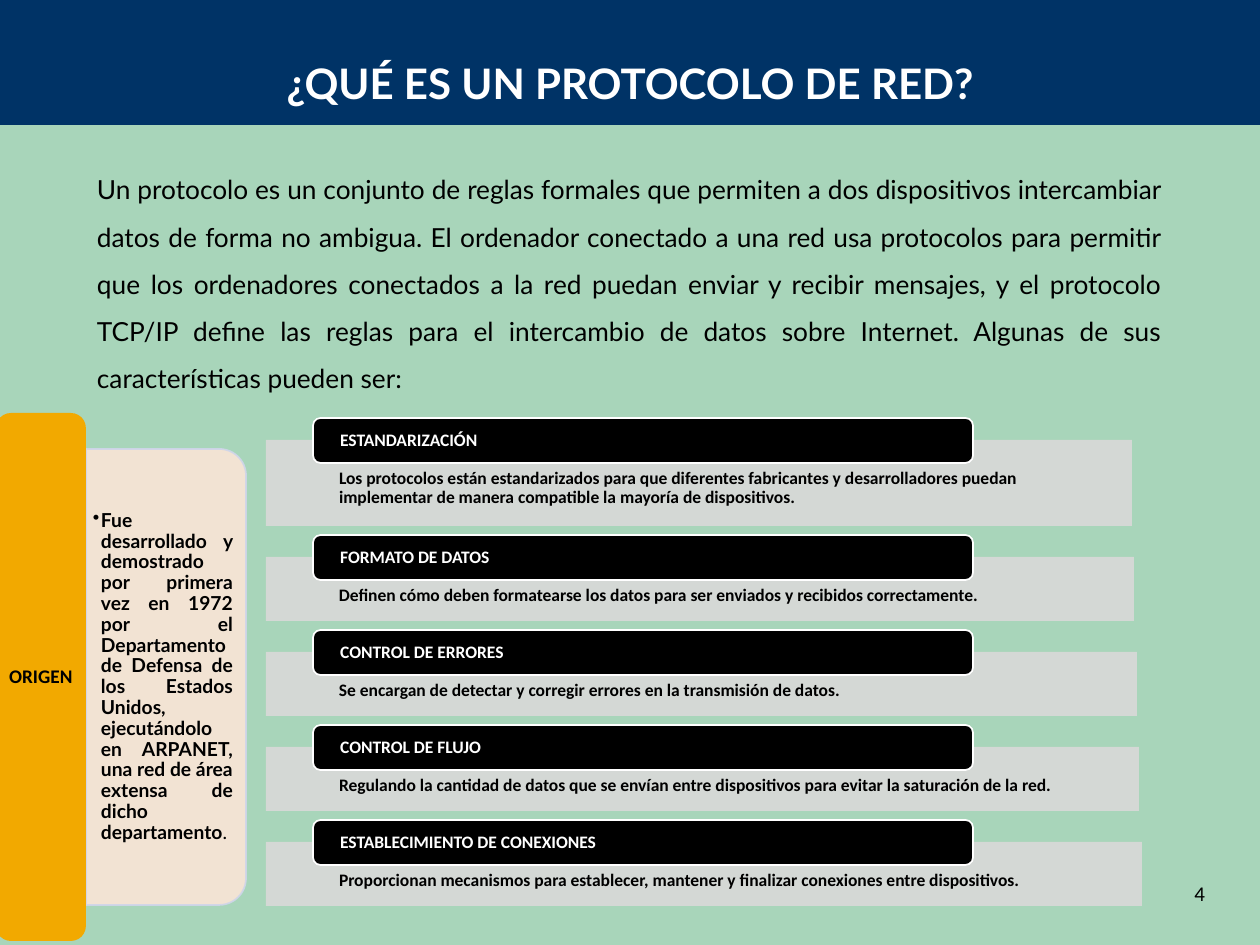
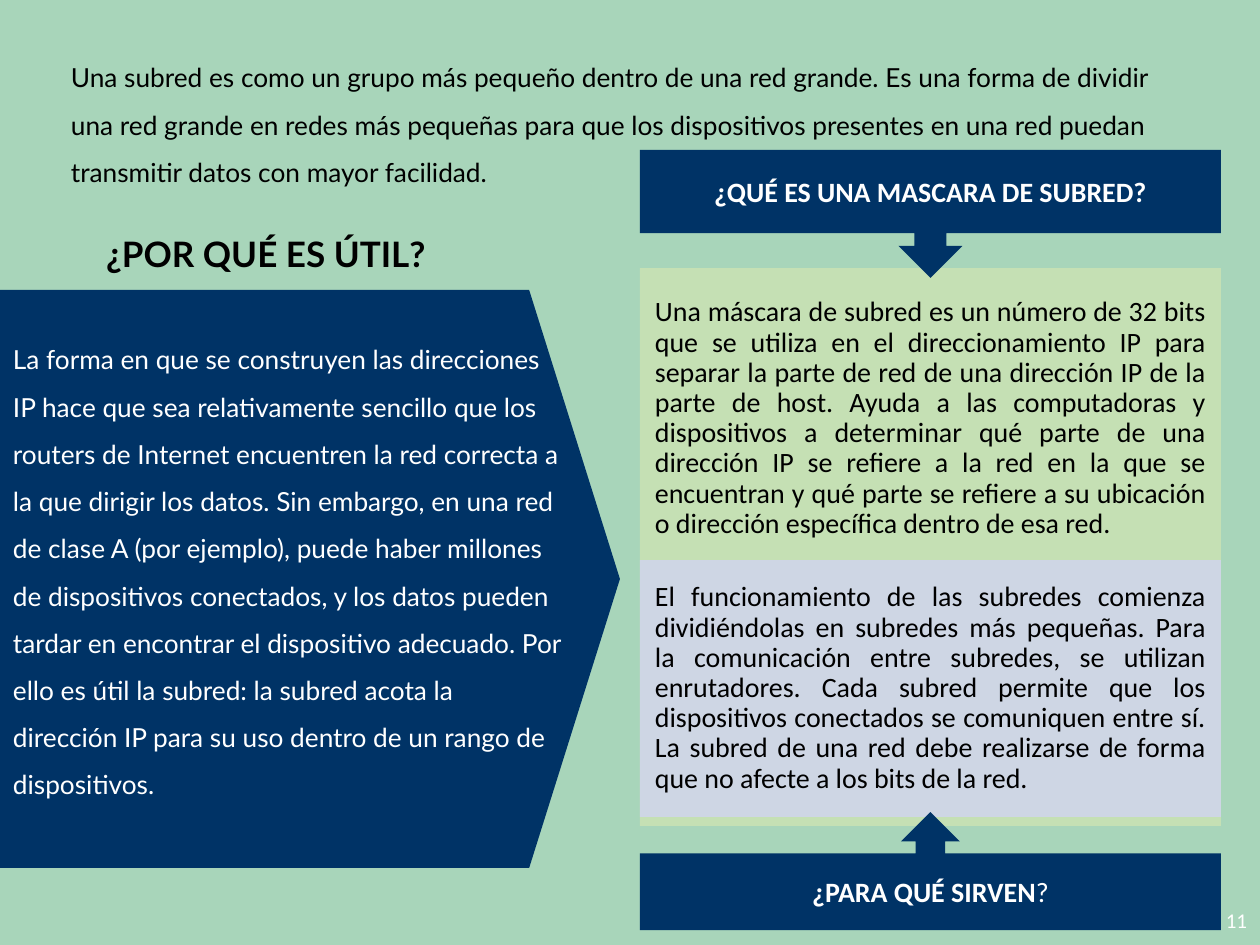
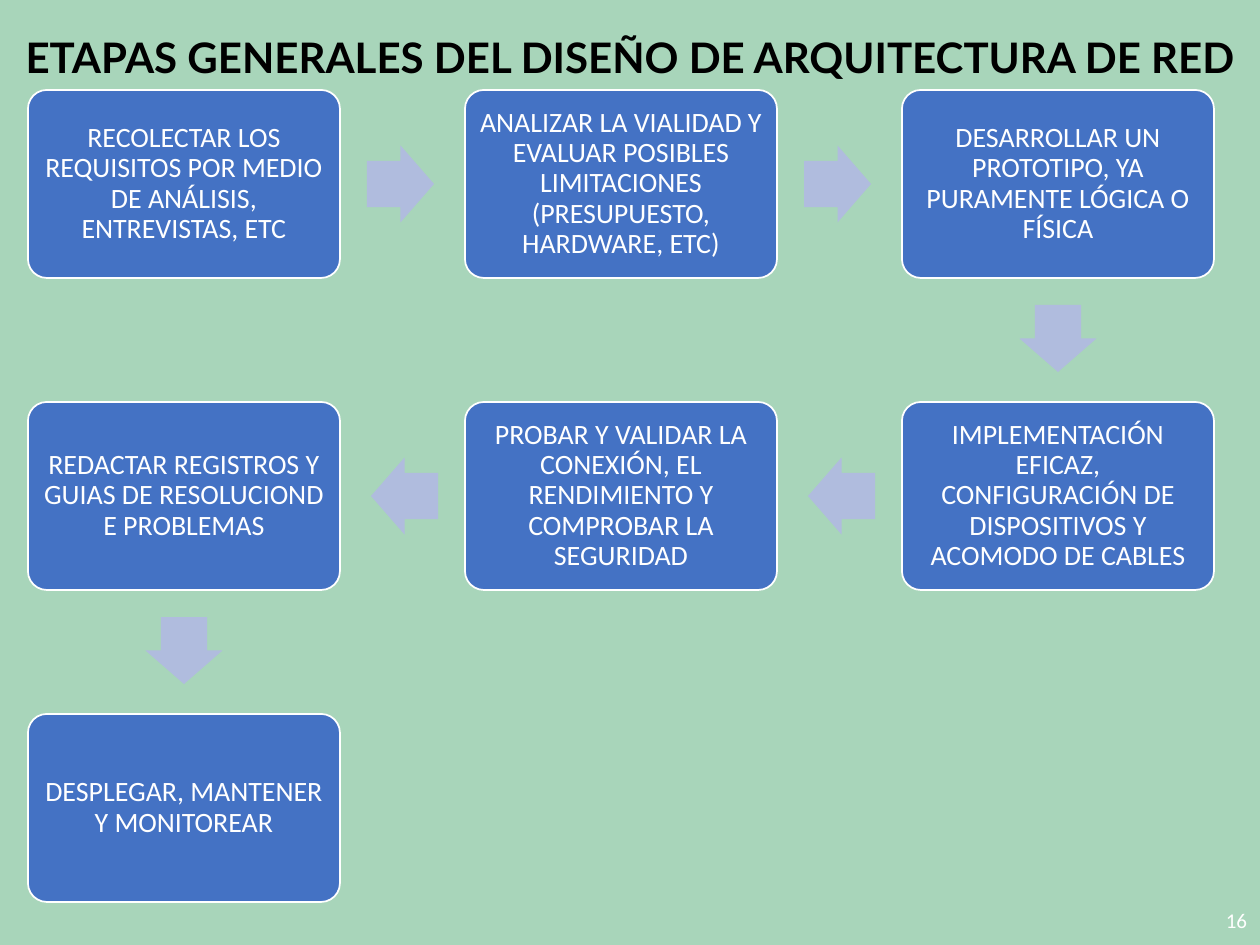
from lxml import etree
from pptx import Presentation
from pptx.dml.color import RGBColor
from pptx.enum.shapes import MSO_SHAPE
from pptx.enum.text import MSO_ANCHOR, PP_ALIGN
from pptx.oxml.ns import qn
from pptx.util import Pt

RECT, ROUNDED = MSO_SHAPE.RECTANGLE, MSO_SHAPE.ROUNDED_RECTANGLE
TOP_ROUNDED, PENTAGON = MSO_SHAPE.ROUND_2_SAME_RECTANGLE, MSO_SHAPE.PENTAGON
ARROW = MSO_SHAPE.RIGHT_ARROW
UP_CALLOUT, DOWN_CALLOUT = MSO_SHAPE.UP_ARROW_CALLOUT, MSO_SHAPE.DOWN_ARROW_CALLOUT
TOP, MIDDLE = MSO_ANCHOR.TOP, MSO_ANCHOR.MIDDLE
LEFT, CENTER, RIGHT, JUSTIFY = PP_ALIGN.LEFT, PP_ALIGN.CENTER, PP_ALIGN.RIGHT, PP_ALIGN.JUSTIFY

EMU_PER_PX = 914400 / 126
PAGE_WIDTH, PAGE_HEIGHT = 1260, 945

COLORS = {
    "mint": "A8D5BA", "navy": "003366", "white": "FFFFFF", "black": "000000",
    "gray": "D9D9D9", "peach": "FBE5D6", "lavender": "CFD5EA", "amber": "F2A900",
    "green": "C5E0B4", "blue": "4472C4", "arrow": "B0BCDE",
}

# Text styles: font, size, bold, color, alignment, line spacing, anchor, margins
BASE = dict(font="Calibri", size=16, bold=False, color="black", align=LEFT,
            spacing=1.0, anchor=TOP, margins=(13, 6, 13, 6))
PROSE = BASE | dict(font="Lato", size=15, spacing=1.5)
TITLE = PROSE | dict(size=24, bold=True, align=CENTER)
SUBTITLE = TITLE | dict(size=20)
NUMBER = BASE | dict(size=12, align=RIGHT, anchor=MIDDLE)
FEATURE_BODY = BASE | dict(size=10, bold=True, spacing=0.9, margins=(73, 29, 73, 10))
FEATURE_NAME = FEATURE_BODY | dict(color="white", anchor=MIDDLE, margins=(25, 0, 25, 0))
ORIGIN_LABEL = BASE | dict(size=11, bold=True, align=CENTER, spacing=0.9,
                           anchor=MIDDLE, margins=(6, 3, 6, 3))
ORIGIN_TEXT = ORIGIN_LABEL | dict(font="Lato", align=JUSTIFY)
PANEL = BASE | dict(align=JUSTIFY, spacing=0.9, anchor=MIDDLE, margins=(15, 3, 15, 3))
CALLOUT = BASE | dict(bold=True, color="white", align=CENTER, anchor=MIDDLE)
STAGE = BASE | dict(color="white", align=CENTER, spacing=0.9, anchor=MIDDLE,
                    margins=(9, 9, 9, 9))

PROTOCOL_TITLE = "¿QUÉ ES UN PROTOCOLO DE RED?"
PROTOCOL_INTRO = (
    "Un protocolo es un conjunto de reglas formales que permiten a dos dispositivos "
    "intercambiar datos de forma no ambigua. El ordenador conectado a una red usa "
    "protocolos para permitir que los ordenadores conectados a la red puedan enviar y "
    "recibir mensajes, y el protocolo TCP/IP define las reglas para el intercambio de "
    "datos sobre Internet. Algunas de sus características pueden ser:")
ORIGIN = (
    "Fue desarrollado y demostrado por primera vez en 1972 por el Departamento de "
    "Defensa de los Estados Unidos, ejecutándolo en ARPANET, una red de área extensa "
    "de dicho departamento")
# name, description, panel width, panel height
FEATURES = [
    ("ESTANDARIZACIÓN",
     "Los protocolos están estandarizados para que diferentes fabricantes y "
     "desarrolladores puedan implementar de manera compatible la mayoría de "
     "dispositivos.", 866, 86),
    ("FORMATO DE DATOS",
     "Definen cómo deben formatearse los datos para ser enviados y recibidos "
     "correctamente.", 868, 64),
    ("CONTROL DE ERRORES",
     "Se encargan de detectar y corregir errores en la transmisión de datos.", 871, 64),
    ("CONTROL DE FLUJO",
     "Regulando la cantidad de datos que se envían entre dispositivos para evitar la "
     "saturación de la red.", 873, 64),
    ("ESTABLECIMIENTO DE CONEXIONES",
     "Proporcionan mecanismos para establecer, mantener y finalizar conexiones entre "
     "dispositivos.", 876, 64),
]

SUBNET_INTRO = (
    "Una subred es como un grupo más pequeño dentro de una red grande. Es una forma de "
    "dividir una red grande en redes más pequeñas para que los dispositivos presentes "
    "en una red puedan transmitir datos con mayor facilidad.")
USEFUL_TITLE = "¿POR QUÉ ES ÚTIL?"
USEFUL = (
    "La forma en que se construyen las direcciones IP hace que sea relativamente "
    "sencillo que los routers de Internet encuentren la red correcta a la que dirigir "
    "los datos. Sin embargo, en una red de clase A (por ejemplo), puede haber millones "
    "de dispositivos conectados, y los datos pueden tardar en encontrar el dispositivo "
    "adecuado. Por ello es útil la subred: la subred acota la dirección IP para su uso "
    "dentro de un rango de dispositivos.")
MASK_TITLE = "¿QUÉ ES UNA MASCARA DE SUBRED?"
MASK = (
    "Una máscara de subred es un número de 32 bits que se utiliza en el "
    "direccionamiento IP para separar la parte de red de una dirección IP de la parte "
    "de host. Ayuda a las computadoras y dispositivos a determinar qué parte de una "
    "dirección IP se refiere a la red en la que se encuentran y qué parte se refiere a "
    "su ubicación o dirección específica dentro de esa red.")
SUBNET_USE = (
    "El funcionamiento de las subredes comienza dividiéndolas en subredes más pequeñas. "
    "Para la comunicación entre subredes, se utilizan enrutadores. Cada subred permite "
    "que los dispositivos conectados se comuniquen entre sí. La subred de una red debe "
    "realizarse de forma que no afecte a los bits de la red.")
USE_TITLE = "¿PARA QUÉ SIRVEN"

STAGES_TITLE = "ETAPAS GENERALES DEL DISEÑO DE ARQUITECTURA DE RED"
STAGES = [
    "RECOLECTAR LOS REQUISITOS POR MEDIO DE ANÁLISIS, ENTREVISTAS, ETC",
    "ANALIZAR LA VIALIDAD Y EVALUAR POSIBLES LIMITACIONES (PRESUPUESTO, HARDWARE, ETC)",
    "DESARROLLAR UN PROTOTIPO, YA PURAMENTE LÓGICA O FÍSICA",
    "IMPLEMENTACIÓN EFICAZ, CONFIGURACIÓN DE DISPOSITIVOS Y ACOMODO DE CABLES",
    "PROBAR Y VALIDAR LA CONEXIÓN, EL RENDIMIENTO Y COMPROBAR LA SEGURIDAD",
    "REDACTAR REGISTROS Y GUIAS DE RESOLUCIOND E PROBLEMAS",
    "DESPLEGAR, MANTENER Y MONITOREAR",
]


def px(*lengths):
    return [round(length * EMU_PER_PX) for length in lengths]


def rgb(name):
    return RGBColor.from_string(COLORS[name])


def write(shape, text, style, plain_tail=""):
    """Fill the shape with one paragraph; plain_tail follows it without bold."""
    frame = shape.text_frame
    frame.word_wrap = True
    frame.vertical_anchor = style["anchor"]
    for side, margin in zip(("left", "top", "right", "bottom"), px(*style["margins"])):
        setattr(frame, f"margin_{side}", margin)
    para = frame.paragraphs[0]
    para.alignment = style["align"]
    para.line_spacing = style["spacing"]
    for words, bold in ((text, style["bold"]), (plain_tail, False)):
        if words:
            span = para.add_run()
            span.text = words
            font = {"name": style["font"], "size": Pt(style["size"]), "bold": bold}
            for key, value in font.items():
                setattr(span.font, key, value)
            span.font.color.rgb = rgb(style["color"])
    return para


def add_text(page, area, text, style, plain_tail=""):
    return write(page.shapes.add_textbox(*px(*area)), text, style, plain_tail)


def add_box(page, kind, area, fill, line=None, opacity=100, adjust=(), rotation=0):
    box = page.shapes.add_shape(kind, *px(*area))
    box.shadow.inherit = False
    box.rotation = rotation
    for index, value in enumerate(adjust):
        box.adjustments[index] = value
    box.fill.solid()
    box.fill.fore_color.rgb = rgb(fill)
    if line:
        box.line.color.rgb = rgb(line)
        box.line.width = Pt(1)
    else:
        box.line.fill.background()
    if opacity < 100:
        for color in box._element.spPr.iter(qn("a:srgbClr")):
            etree.SubElement(color, qn("a:alpha"), val=str(opacity * 1000))
    return box


def add_bullet(para, indent):
    properties = para._p.get_or_add_pPr()
    width = px(indent)[0]
    properties.set("marL", str(width))
    properties.set("indent", str(-width))
    etree.SubElement(properties, qn("a:buChar"), char="•")


def add_page(deck, number, number_at=(977, 895), number_color="white"):
    page = deck.slides.add_slide(deck.slide_layouts[6])
    page.background.fill.solid()
    page.background.fill.fore_color.rgb = rgb("mint")
    add_text(page, (*number_at, 283, 50), str(number), NUMBER | dict(color=number_color))
    return page


def add_title(page, top, text, color):
    add_text(page, (0, top, PAGE_WIDTH, 83), text, TITLE | dict(color=color))


def build_protocol(deck):
    page = add_page(deck, 4, (935, 868), "black")
    add_text(page, (84, 152, 1091, 244), PROTOCOL_INTRO, PROSE | dict(align=JUSTIFY))
    add_box(page, RECT, (-4, -11, 1278, 136), "navy")
    add_title(page, 26, PROTOCOL_TITLE, "white")

    top = 440
    for name, description, width, height in FEATURES:
        panel = add_box(page, RECT, (266, top, width, height), "gray", opacity=90)
        write(panel, description, FEATURE_BODY)
        header = add_box(page, ROUNDED, (313, top - 22, 660, 45), "black", "white")
        write(header, name, FEATURE_NAME)
        top += height + 31

    add_box(page, TOP_ROUNDED, (-62, 597, 456, 160), "peach", "lavender", 90, rotation=90)
    para = add_text(page, (87, 457, 152, 440), ORIGIN, ORIGIN_TEXT, ".")
    add_bullet(para, 8)
    write(add_box(page, ROUNDED, (-4, 413, 90, 528), "amber"), "ORIGEN", ORIGIN_LABEL)


def build_subnet(deck):
    page = add_page(deck, 11)
    add_text(page, (58, 40, 1145, 149), SUBNET_INTRO, PROSE)
    useful = add_box(page, PENTAGON, (0, 290, 620, 578), "navy", adjust=[0.157])
    write(useful, USEFUL, PROSE | dict(color="white", margins=(13, 38, 13, 6)))
    add_text(page, (0, 205, 532, 67), USEFUL_TITLE, SUBTITLE)

    left, width = 640, 581
    mask = add_box(page, RECT, (left, 268, width, 558), "green")
    write(mask, MASK, PANEL | dict(margins=(15, 15, 15, 272)))
    use = add_box(page, RECT, (left, 560, width, 257), "lavender", opacity=90)
    write(use, SUBNET_USE, PANEL)
    question = add_box(page, DOWN_CALLOUT, (left, 150, width, 128), "navy")
    write(question, MASK_TITLE, CALLOUT)
    question = add_box(page, UP_CALLOUT, (left, 812, width, 118), "navy")
    write(question, USE_TITLE, CALLOUT, "?")


def build_stages(deck):
    page = add_page(deck, 16)
    add_title(page, 0, STAGES_TITLE, "black")
    columns, width, height = 3, 312, 188
    arrow_length, arrow_breadth, arrow_gap = 67, 77, 27
    rotations = {(1, 0): 0, (0, 1): 90, (-1, 0): 180}

    def cell(index):
        """Column and row on a path that turns back at each row's end."""
        row, column = divmod(index, columns)
        return (columns - 1 - column if row % 2 else column), row

    for index, stage in enumerate(STAGES):
        column, row = cell(index)
        left, top = 28 + 437 * column, 90 + 312 * row
        box = add_box(page, ROUNDED, (left, top, width, height), "blue", "white",
                      adjust=[0.1])
        write(box, stage, STAGE)
        if index + 1 < len(STAGES):
            next_column, next_row = cell(index + 1)
            across, down = next_column - column, next_row - row
            reach = arrow_gap + arrow_length / 2
            center_x = left + width / 2 + across * (width / 2 + reach)
            center_y = top + height / 2 + down * (height / 2 + reach)
            area = (center_x - arrow_length / 2, center_y - arrow_breadth / 2,
                    arrow_length, arrow_breadth)
            add_box(page, ARROW, area, "arrow", adjust=[0.6, 0.5],
                    rotation=rotations[across, down])


def main():
    deck = Presentation()
    deck.slide_width, deck.slide_height = px(PAGE_WIDTH, PAGE_HEIGHT)
    for build in (build_protocol, build_subnet, build_stages):
        build(deck)
    deck.save("out.pptx")


if __name__ == "__main__":
    main()
